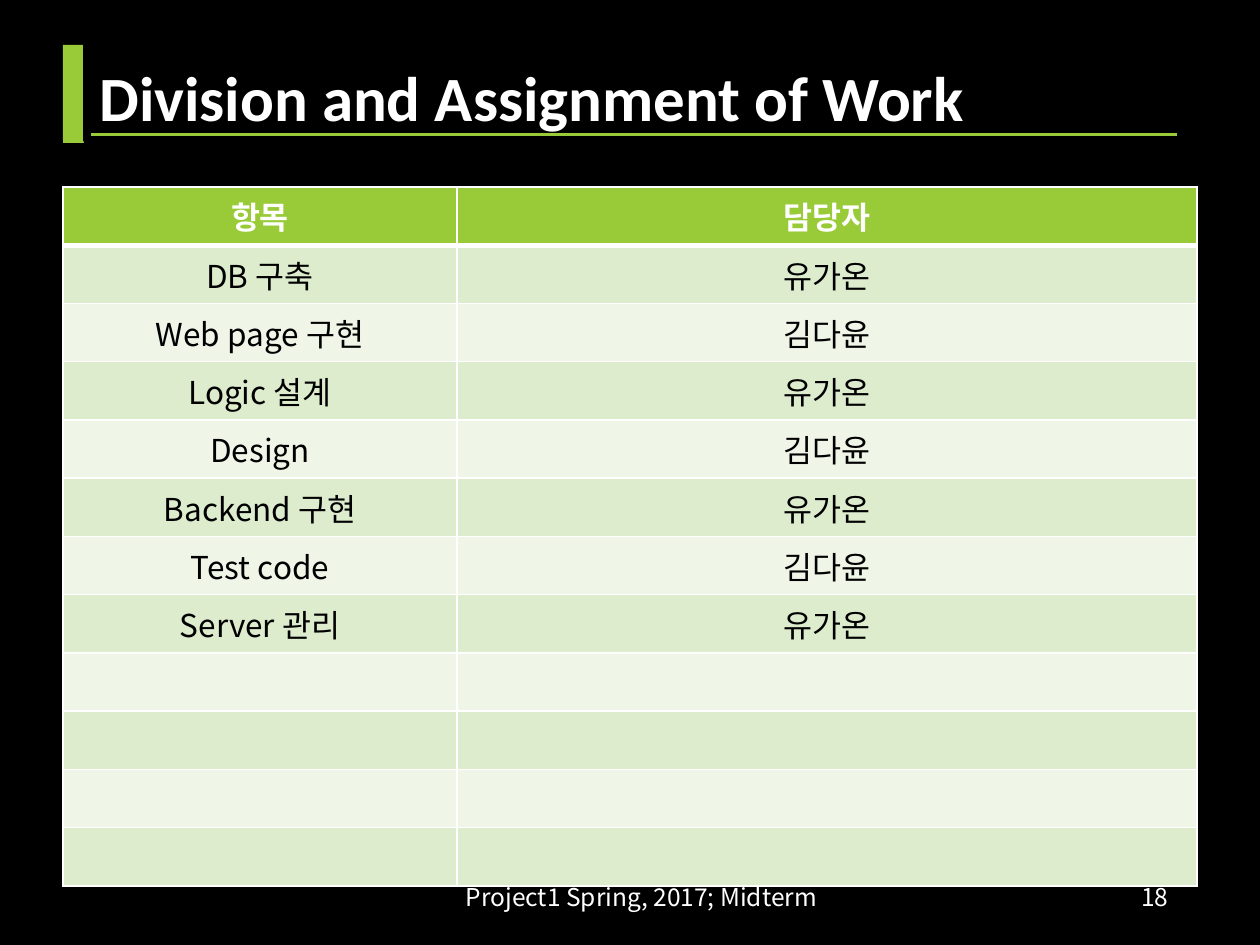
from lxml.etree import SubElement
from pptx import Presentation
from pptx.dml.color import RGBColor
from pptx.enum.shapes import MSO_CONNECTOR, MSO_SHAPE
from pptx.enum.text import MSO_ANCHOR as ANCHOR, PP_ALIGN as ALIGN
from pptx.oxml.ns import qn
from pptx.util import Emu, Pt

PX = 914400 / 126
BLACK = RGBColor(0x00, 0x00, 0x00)
WHITE = RGBColor(0xFF, 0xFF, 0xFF)
GREEN = RGBColor(0x99, 0xCB, 0x38)
BANDS = (RGBColor(0xDE, 0xEC, 0xCE), RGBColor(0xEF, 0xF6, 0xE8))
HEAD_FONT, BODY_FONT = "Calibri", "Noto Sans CJK KR"

COLS = (394, 740)
TABLE_H = 699
ROWS = [
    ("항목", "담당자"),
    ("DB 구축", "유가온"),
    ("Web page 구현", "김다윤"),
    ("Logic 설계", "유가온"),
    ("Design", "김다윤"),
    ("Backend 구현", "유가온"),
    ("Test code", "김다윤"),
    ("Server 관리", "유가온"),
] + [("", "")] * 4


def px(*values):
    """Turn pixel lengths into EMU."""
    return [Emu(round(v * PX)) for v in values]


def add_text(tf, text, size, color, font=BODY_FONT, bold=False, align=ALIGN.LEFT):
    """Write one styled run into the first paragraph."""
    p = tf.paragraphs[0]
    p.alignment = align
    r = p.add_run()
    r.text = text
    r.font.size, r.font.name, r.font.bold = Pt(size), font, bold
    r.font.color.rgb = color
    SubElement(r.font._element, qn("a:ea"), typeface=font)


def add_box(s, box, line, width, fill=None):
    """Add a rectangle with an outline and an optional fill."""
    sp = s.shapes.add_shape(MSO_SHAPE.RECTANGLE, *px(*box))
    sp.shadow.inherit = False
    if fill is None:
        sp.fill.background()
    else:
        sp.fill.solid()
        sp.fill.fore_color.rgb = fill
    sp.line.color.rgb, sp.line.width = line, Pt(width)
    return sp


def add_rule(s, x1, x2, y):
    """Add the horizontal rule under the title."""
    line = s.shapes.add_connector(MSO_CONNECTOR.STRAIGHT, *px(x1, y, x2, y))
    line.line.color.rgb, line.line.width = GREEN, Pt(6)
    SubElement(line._element.spPr, qn("a:effectLst"))


def add_title(s, box, text):
    """Add the outlined title box."""
    tf = add_box(s, box, BLACK, 4.5).text_frame
    tf.word_wrap, tf.vertical_anchor = True, ANCHOR.BOTTOM
    add_text(tf, text, 36, WHITE, HEAD_FONT, True)


def add_footer(s, box, text, align=ALIGN.LEFT):
    """Add a small text box at the foot of the slide."""
    tf = s.shapes.add_textbox(*px(*box)).text_frame
    tf.word_wrap = True
    add_text(tf, text, 14, WHITE, align=align)


def set_borders(cell, top, bottom):
    """Draw white borders on the four sides of a cell."""
    tc_pr = cell._tc.get_or_add_tcPr()
    for side, width in (("L", 1), ("R", 1), ("T", top), ("B", bottom)):
        ln = SubElement(tc_pr, qn(f"a:ln{side}"), w=str(Pt(width)))
        SubElement(SubElement(ln, qn("a:solidFill")), qn("a:srgbClr"), val=str(WHITE))


def set_empty_font(p, size):
    """Give an empty paragraph its font and size."""
    end = SubElement(p._p, qn("a:endParaRPr"), sz=str(size * 100))
    for tag in ("a:latin", "a:ea"):
        SubElement(end, qn(tag), typeface=BODY_FONT)


def fill_cell(cell, row, text):
    """Style one cell by its row and write its text."""
    header = row == 0
    set_borders(cell, 3 if row == 1 else 1, 3 if header else 1)
    cell.fill.solid()
    cell.fill.fore_color.rgb = GREEN if header else BANDS[(row - 1) % 2]
    cell.vertical_anchor = ANCHOR.MIDDLE
    if text:
        color = WHITE if header else BLACK
        add_text(cell.text_frame, text, 18, color, bold=header, align=ALIGN.CENTER)
    else:
        set_empty_font(cell.text_frame.paragraphs[0], 18)


def add_work_table(s, left, top):
    """Add the table of work items and people."""
    box = px(left, top, sum(COLS), TABLE_H)
    table = s.shapes.add_table(len(ROWS), len(COLS), *box).table
    for col, width in zip(table.columns, px(*COLS)):
        col.width = width
    for i, texts in enumerate(ROWS):
        table.rows[i].height = px(TABLE_H / len(ROWS))[0]
        for j, text in enumerate(texts):
            fill_cell(table.cell(i, j), i, text)


def main():
    """Build the slide and save it."""
    prs = Presentation()
    prs.slide_width, prs.slide_height = px(1260, 945)
    s = prs.slides.add_slide(prs.slide_layouts[6])
    s.background.fill.solid()
    s.background.fill.fore_color.rgb = BLACK
    add_rule(s, 63, 1182, 138)
    add_box(s, (63, 45, 24, 95), GREEN, 0.5, GREEN)
    add_title(s, (87, 26, 1094, 114), "Division and Assignment of Work")
    add_footer(s, (400, 876, 483, 50), "Project1 Spring, 2017; Midterm", ALIGN.CENTER)
    add_work_table(s, 63, 187)
    add_footer(s, (1129, 876, 95, 50), "18")
    prs.save("out.pptx")


if __name__ == "__main__":
    main()
